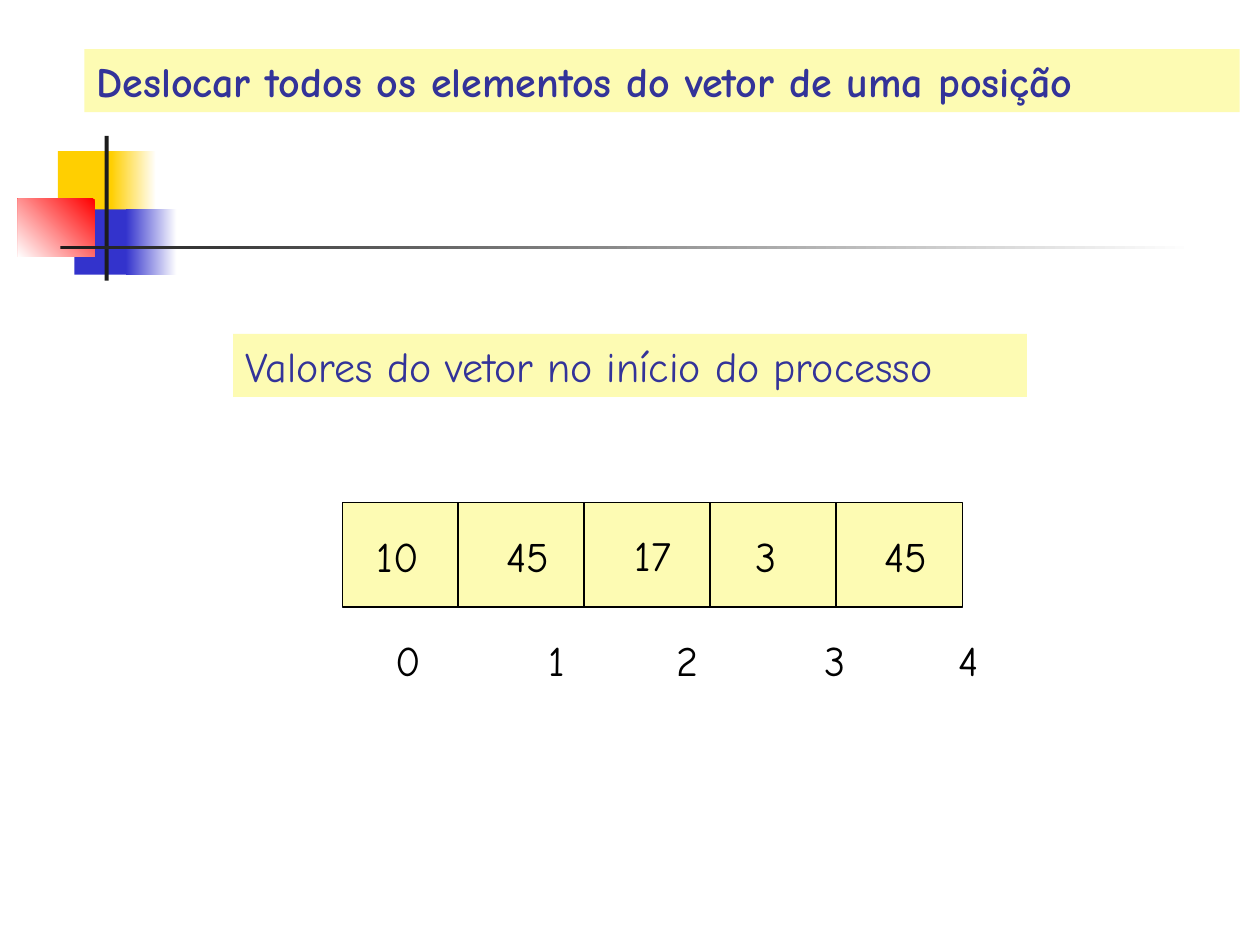
from dataclasses import dataclass

from lxml.etree import SubElement
from pptx import Presentation
from pptx.dml.color import RGBColor as RGB
from pptx.enum.shapes import MSO_CONNECTOR as CONN, MSO_SHAPE as SHAPE
from pptx.enum.text import MSO_ANCHOR as ANCHOR, PP_ALIGN as ALIGN
from pptx.oxml.ns import qn
from pptx.util import Cm, Pt


@dataclass(frozen=True)
class Theme:
    font: str = "Comic Neue"
    size: float = 24
    line: float = 0.75
    panel: str = "FDFBB3"
    heading: str = "333399"
    black: str = "000000"
    white: str = "FFFFFF"
    yellow: str = "FFCF01"
    blue: str = "3333CC"
    red: str = "FF0000"
    dark: str = "1C1C1C"


T = Theme()

# Content; all lengths in cm
HEADINGS = [  # text, box, bold
    ("Deslocar todos os elementos do vetor de uma posição", (1.7, 0.99, 23.29, 1.27), True),
    ("Valores do vetor no início do processo", (4.7, 6.73, 16, 1.27), False),
]
VECTOR_BOX = (6.91, 10.13, 12.5, 2.11)
FIRST_DIVIDER, CELL_STEP = 9.23, 2.54
MIDDLE_VALUE = "17"
SIDE_VALUES = [  # text, left, width
    ("10", 7.34, 1.35), ("45", 9.96, 1.37), ("3", 14.99, 0.94), ("45", 17.58, 1.37),
]
VALUE_TOP, TEXT_HEIGHT = 10.57, 1.27
INDEX_BOX = (7.47, 12.67, 13.21, TEXT_HEIGHT)
INDEX_STOPS = [("0", 0.52), ("1", 3.5), ("2", 6.13), ("3", 9.11), ("4", 11.8)]
ORNAMENT = [  # box, colour, angle of the fade to white (None is solid)
    ((1.17, 3.05, 1.22, 1.32), T.yellow, None),
    ((2.24, 3.05, 0.91, 1.32), T.yellow, 0),
    ((1.5, 4.22, 1.17, 1.32), T.blue, None),
    ((2.54, 4.22, 1.02, 1.32), T.blue, 0),
    ((0.36, 4.01, 1.55, 1.17), T.red, 225),
    ((2.11, 2.74, 0.08, 2.92), T.dark, None),
    ((1.22, 4.95, 22.86, 0.08), T.dark, 0),
]


def cm(box):
    return [Cm(v) for v in box]


def add_rect(shapes, box, color, angle=None):
    sp = shapes.add_shape(SHAPE.RECTANGLE, *cm(box))
    sp.shadow.inherit = False
    sp.line.fill.background()
    if angle is None:
        sp.fill.solid()
        sp.fill.fore_color.rgb = RGB.from_string(color)
    else:
        sp.fill.gradient()
        sp.fill.gradient_angle = angle
        for stop, c in zip(sp.fill.gradient_stops, (color, T.white)):
            stop.color.rgb = RGB.from_string(c)
    return sp


def set_line(sp):
    sp.line.color.rgb = RGB.from_string(T.black)
    sp.line.width = Pt(T.line)


def write(sp, text, color=T.black, bold=False, align=ALIGN.LEFT, anchor=ANCHOR.TOP, wrap=True):
    tf = sp.text_frame
    tf.word_wrap = wrap
    tf.vertical_anchor = anchor
    p = tf.paragraphs[0]
    p.text = text
    p.alignment = align
    for r in p.runs:
        r.font.name, r.font.size, r.font.bold = T.font, Pt(T.size), bold
        r.font.color.rgb = RGB.from_string(color)
    return p


def add_tabs(p, stops):
    tabs = SubElement(p._p.get_or_add_pPr(), qn("a:tabLst"))
    for stop in stops:
        SubElement(tabs, qn("a:tab"), pos=str(int(Cm(stop))), algn="ctr")


def main():
    prs = Presentation()
    prs.slide_width, prs.slide_height = Cm(25.4), Cm(19.05)
    shapes = prs.slides.add_slide(prs.slide_layouts[6]).shapes

    # Corner ornament and fading rule
    for box, color, angle in ORNAMENT:
        add_rect(shapes, box, color, angle)

    # Vector: frame with the middle value, then cell dividers
    frame = add_rect(shapes, VECTOR_BOX, T.panel)
    set_line(frame)
    write(frame, MIDDLE_VALUE, align=ALIGN.CENTER, anchor=ANCHOR.MIDDLE, wrap=False)
    top, height = VECTOR_BOX[1], VECTOR_BOX[3]
    for i in range(len(INDEX_STOPS) - 1):
        x = FIRST_DIVIDER + i * CELL_STEP
        divider = shapes.add_connector(CONN.STRAIGHT, *cm((x, top, x, top + height)))
        set_line(divider)
        SubElement(divider._element.spPr, qn("a:effectLst"))

    # Other values
    for text, left, width in SIDE_VALUES:
        box = shapes.add_textbox(*cm((left, VALUE_TOP, width, TEXT_HEIGHT)))
        write(box, text, wrap=False)

    # Indices on centred tab stops
    p = write(shapes.add_textbox(*cm(INDEX_BOX)), "".join("\t" + n for n, _ in INDEX_STOPS))
    add_tabs(p, [stop for _, stop in INDEX_STOPS])

    # Headings
    for text, box, bold in HEADINGS:
        write(add_rect(shapes, box, T.panel), text, T.heading, bold)

    prs.save("out.pptx")


if __name__ == "__main__":
    main()
